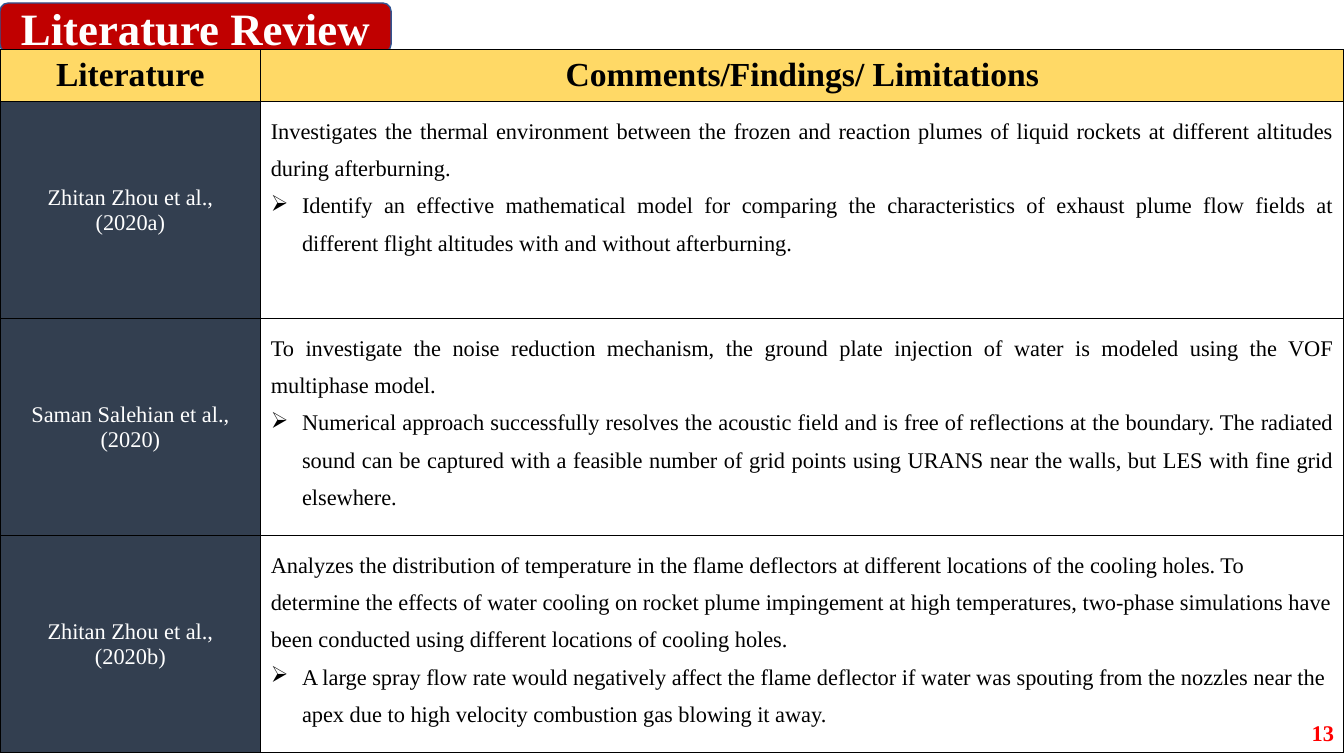
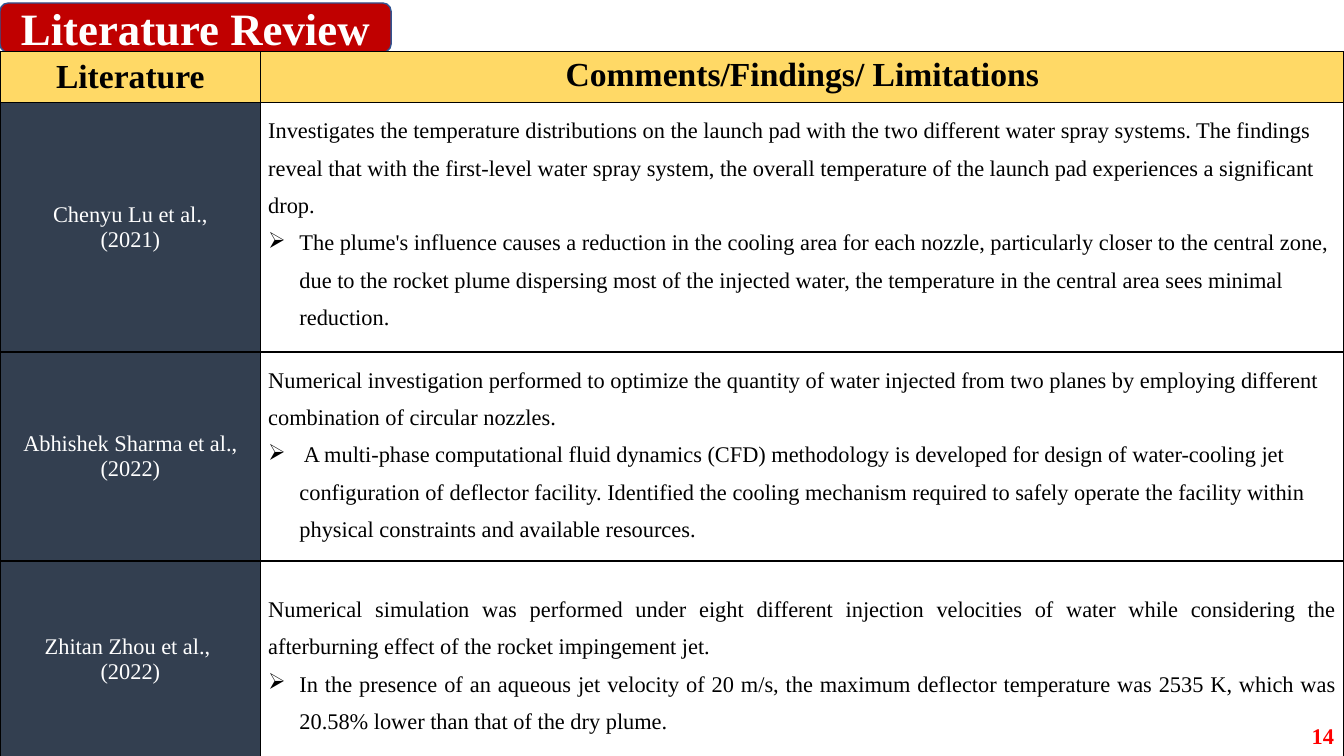
import pptx
import pptx.dml.color
import pptx.enum.shapes
import pptx.enum.text
import pptx.oxml
import pptx.oxml.ns
import pptx.util
from lxml import etree

ALIGN = pptx.enum.text.PP_ALIGN
ANCHOR = pptx.enum.text.MSO_ANCHOR
RED, BLUE, GOLD, SLATE = "C00000", "325491", "FFD966", "333F50"
WHITE, BLACK, BRIGHT_RED = "FFFFFF", "000000", "FF0000"
WIDE, TIGHT = (0.75, 0.67), (0.56, 0.5)


def rgb(value):
    return pptx.dml.color.RGBColor.from_string(value)


class Deck:
    """Holds the review style and the current slide; lengths are percentages of the slide."""

    font = "Times New Roman"

    def __init__(self):
        self.prs = pptx.Presentation()
        self.prs.slide_width = pptx.util.Inches(13.33)
        self.prs.slide_height = pptx.util.Inches(7.5)
        self.s = None

    def x(self, share):
        return round(self.prs.slide_width * share / 100)

    def y(self, share):
        return round(self.prs.slide_height * share / 100)

    def box(self, left, top, width, height):
        return self.x(left), self.y(top), self.x(width), self.y(height)

    def new_slide(self):
        self.s = self.prs.slides.add_slide(self.prs.slide_layouts[6])

    def add_text(self, p, text, size, color, bold=False, align=None):
        p.alignment = align
        r = p.add_run()
        r.text = text
        r.font.name = self.font
        r.font.size = pptx.util.Pt(size)
        r.font.bold = bold
        r.font.color.rgb = rgb(color)

    def bullet(self, p):
        pPr = p._p.get_or_add_pPr()
        indent = pptx.util.Inches(0.31)
        pPr.set("marL", str(indent))
        pPr.set("indent", str(-indent))
        bu = etree.SubElement(pPr, pptx.oxml.ns.qn("a:buChar"))
        bu.set("char", "➢")

    def title(self, text):
        sp = self.s.shapes.add_shape(
            pptx.enum.shapes.MSO_SHAPE.ROUNDED_RECTANGLE, *self.box(0, 0.4, 29.1, 6.53))
        sp.shadow.inherit = False
        sp.fill.solid()
        sp.fill.fore_color.rgb = rgb(RED)
        sp.line.color.rgb = rgb(BLUE)
        sp.line.width = pptx.util.Pt(1)
        tf = sp.text_frame
        tf.vertical_anchor = ANCHOR.MIDDLE
        self.add_text(tf.paragraphs[0], text, 32, WHITE, True, ALIGN.CENTER)

    def page_number(self, number, top):
        sp = self.s.shapes.add_textbox(*self.box(77.5, top, 22.5, 5.33))
        tf = sp.text_frame
        tf.word_wrap = True
        tf.vertical_anchor = ANCHOR.MIDDLE
        self.add_text(tf.paragraphs[0], str(number), 16, BRIGHT_RED, True, ALIGN.RIGHT)

    def cell(self, cell, fill, anchor, margins):
        cell.fill.solid()
        cell.fill.fore_color.rgb = rgb(fill)
        cell.vertical_anchor = anchor
        cell.margin_left = cell.margin_right = self.x(margins[0])
        cell.margin_top = cell.margin_bottom = self.y(margins[1])
        tcPr = cell._tc.get_or_add_tcPr()
        for i, side in enumerate("LRTB"):
            tcPr.insert(i, pptx.oxml.parse_xml(
                f'<a:ln{side} {pptx.oxml.ns.nsdecls("a")} w="12700"><a:solidFill>'
                f'<a:srgbClr val="{BLACK}"/></a:solidFill></a:ln{side}>'))
        return cell.text_frame

    def review_table(self, top, heights, head_anchor, margins, studies):
        table = self.s.shapes.add_table(
            len(heights), 2, *self.box(0, top, 100, sum(heights))).table
        table.horz_banding = False
        for column, width in zip(table.columns, (19.4, 80.6)):
            column.width = self.x(width)
        for row, height in zip(table.rows, heights):
            row.height = self.y(height)

        heads = (("Literature", ANCHOR.MIDDLE, TIGHT),
                 ("Comments/Findings/ Limitations", head_anchor, WIDE))
        for i, (text, anchor, inset) in enumerate(heads):
            tf = self.cell(table.cell(0, i), GOLD, anchor, inset)
            self.add_text(tf.paragraphs[0], text, 24, BLACK, True, ALIGN.CENTER)

        for i, (authors, year, summary, finding, align, anchor) in enumerate(studies, 1):
            tf = self.cell(table.cell(i, 0), SLATE, ANCHOR.MIDDLE, TIGHT)
            for p, text in ((tf.paragraphs[0], authors), (tf.add_paragraph(), year)):
                self.add_text(p, text, 16, WHITE, align=ALIGN.CENTER)
            tf = self.cell(table.cell(i, 1), WHITE, anchor, margins)
            for p, text in ((tf.paragraphs[0], summary), (tf.add_paragraph(), finding)):
                p.line_spacing = 1.5
                self.add_text(p, text, 16, BLACK, align=align)
            self.bullet(tf.paragraphs[1])

    def review(self, number, number_top, **table):
        self.new_slide()
        self.title("Literature Review")
        self.review_table(**table)
        self.page_number(number, number_top)


PLUME_STUDIES = [
    ("Zhitan Zhou et al.,", "(2020a)",
     "Investigates the thermal environment between the frozen and reaction plumes of liquid "
     "rockets at different altitudes during afterburning.",
     "Identify an effective mathematical model for comparing the characteristics of exhaust "
     "plume flow fields at different flight altitudes with and without afterburning.",
     ALIGN.JUSTIFY, ANCHOR.TOP),
    ("Saman Salehian et al.,", "(2020)",
     "To investigate the noise reduction mechanism, the ground plate injection of water is "
     "modeled using the VOF multiphase model.",
     "Numerical approach successfully resolves the acoustic field and is free of reflections "
     "at the boundary. The radiated sound can be captured with a feasible number of grid "
     "points using URANS near the walls, but LES with fine grid elsewhere.",
     ALIGN.JUSTIFY, ANCHOR.TOP),
    ("Zhitan Zhou et al.,", "(2020b)",
     "Analyzes the distribution of temperature in the flame deflectors at different locations "
     "of the cooling holes. To determine the effects of water cooling on rocket plume "
     "impingement at high temperatures, two-phase simulations have been conducted using "
     "different locations of cooling holes.",
     "A large spray flow rate would negatively affect the flame deflector if water was "
     "spouting from the nozzles near the apex due to high velocity combustion gas blowing it "
     "away.",
     None, ANCHOR.TOP),
]

SPRAY_STUDIES = [
    ("Chenyu Lu et al.,", "(2021)",
     "Investigates the temperature distributions on the launch pad with the two different "
     "water spray systems. The findings reveal that with the first-level water spray system, "
     "the overall temperature of the launch pad experiences a significant drop.",
     "The plume's influence causes a reduction in the cooling area for each nozzle, "
     "particularly closer to the central zone, due to the rocket plume dispersing most of the "
     "injected water, the temperature in the central area sees minimal reduction.",
     None, ANCHOR.TOP),
    ("Abhishek Sharma et al.,", "(2022)",
     "Numerical investigation performed to optimize the quantity of water injected from two "
     "planes by employing different combination of circular nozzles.",
     " A multi-phase computational fluid dynamics (CFD) methodology is developed for design "
     "of water-cooling jet configuration of deflector facility. Identified the cooling "
     "mechanism required to safely operate the facility within physical constraints and "
     "available resources.",
     None, ANCHOR.TOP),
    ("Zhitan Zhou et al., ", "(2022)",
     "Numerical simulation was performed under eight different injection velocities of water "
     "while considering the afterburning effect of the rocket impingement jet.",
     "In the presence of an aqueous jet velocity of 20 m/s, the maximum deflector temperature "
     "was 2535 K, which was 20.58% lower than that of the dry plume.",
     ALIGN.JUSTIFY, ANCHOR.MIDDLE),
]


def main():
    deck = Deck()
    deck.review(13, 94.27, top=6.53, heights=(6.95, 28.7, 28.7, 28.7),
                head_anchor=ANCHOR.MIDDLE, margins=WIDE, studies=PLUME_STUDIES)
    deck.review(14, 94.67, top=6.8, heights=(6.8, 32.9, 27.4, 26.1),
                head_anchor=ANCHOR.TOP, margins=TIGHT, studies=SPRAY_STUDIES)
    deck.prs.save("out.pptx")


if __name__ == "__main__":
    main()
